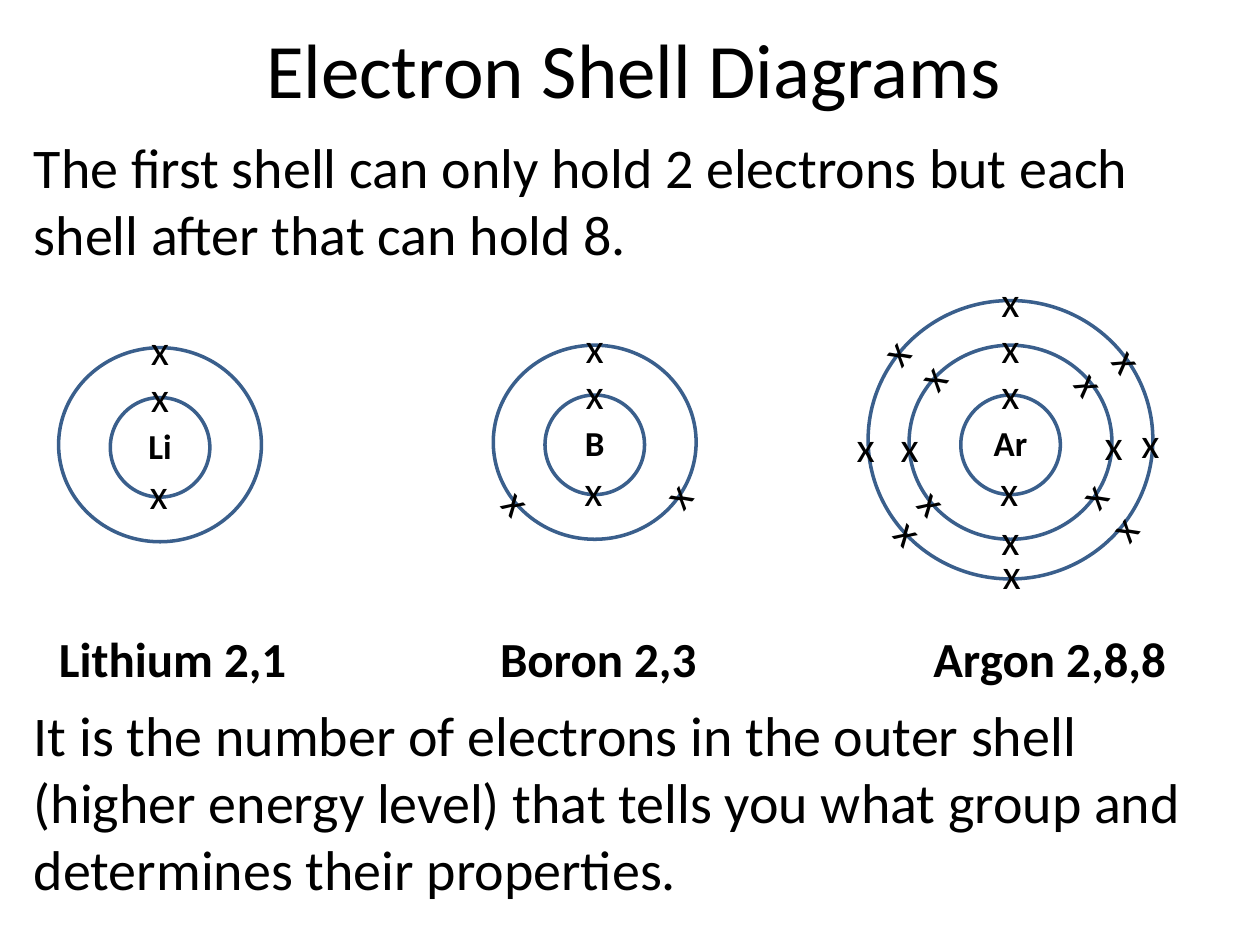
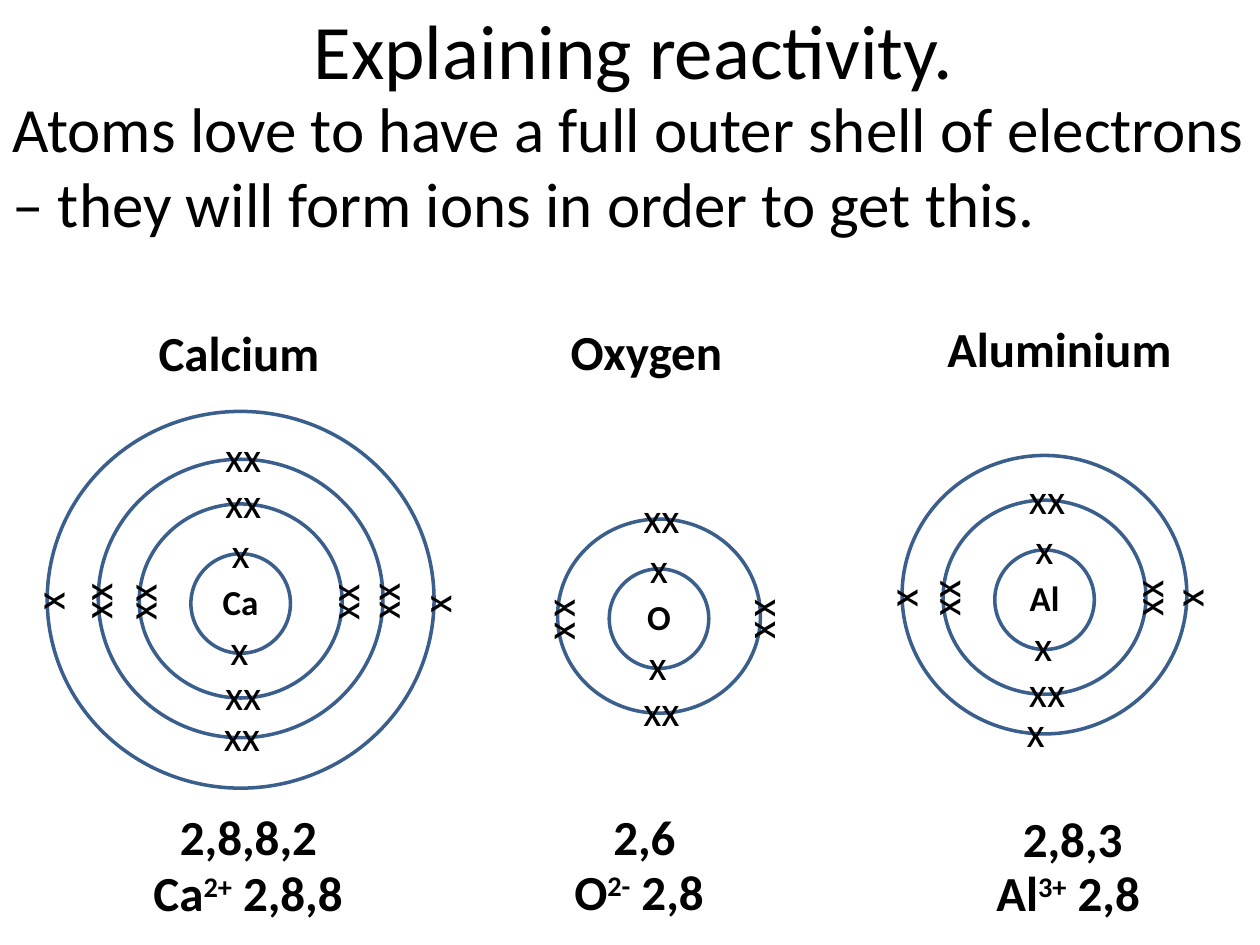
import pptx
import pptx.util
import pptx.dml.color
import pptx.enum.shapes
import pptx.enum.text

PX = 9144
FONT = "Calibri"
COLORS = {"text": "000000", "shell": "3A5F8C", "background": "FFFFFF"}
LEFT = pptx.enum.text.PP_ALIGN.LEFT
CENTER = pptx.enum.text.PP_ALIGN.CENTER

SHELLS = [(79, 79, 0), (161, 154, -2), (226, 221, -4), (307, 299, -3)]

ELECTRONS = {
    "1 top": ("x", 0, -41, 0),
    "1 bottom": ("x", -1, 36, 0),
    "2 top": ("x", 0, -78, 0),
    "2 top right": ("x", 64, -49, 54.4),
    "2 right": ("x", 82, -1, 0),
    "2 bottom right": ("x", 65, 40, 309.6),
    "2 bottom": ("x", 0, 75, 0),
    "2 bottom left": ("x", -61, 45, 47.1),
    "2 left": ("x", -80, 1, 0),
    "2 top left": ("x", -63, -54, 309.8),
    "3 top": ("x", 0, -114, 0),
    "3 top right": ("x", 94, -67, 54.4),
    "3 right": ("x", 111, -2, 0),
    "3 bottom right": ("x", 89, 66, 309.6),
    "3 bottom": ("x", 1, 102, 0),
    "3 bottom left": ("x", -80, 69, 47.1),
    "3 left": ("x", -115, 1, 0),
    "3 top left": ("x", -92, -74, 309.8),
    "2 top pair": ("xx", 2, -81, 0),
    "2 bottom pair": ("xx", 2, 72, 0),
    "2 right pair": ("xx", 81, -1, 270),
    "2 left pair": ("xx", -80, -1, 270),
    "2 right upper": ("x", 79, -8, 270),
    "2 right lower": ("x", 79, 9, 270),
    "2 left upper": ("x", -80, -8, 270),
    "2 left lower": ("x", -80, 10, 270),
    "3 top pair": ("xx", 2, -117, 0),
    "3 bottom pair": ("xx", 1, 104, 0),
    "3 right pair": ("xx", 113, -2, 270),
    "3 left pair": ("xx", -115, -2, 270),
    "3 right side": ("x", 113, -1, 270),
    "3 left side": ("x", -114, -1, 270),
    "3 bottom offset": ("x", -7, 104, 0),
    "4 right side": ("x", 154, 1, 270),
    "4 left side": ("x", -153, -2, 270),
}

FIRST_SHELL = ["1 top", "1 bottom"]
DIRECTIONS = ["top", "top right", "right", "bottom right",
              "bottom", "bottom left", "left", "top left"]
SIDES = ["top", "bottom", "right", "left"]


def full_shell(number):
    return [f"{number} {direction}" for direction in DIRECTIONS]


def paired_shell(number):
    return [f"{number} {side} pair" for side in SIDES]


def rgb(name):
    return pptx.dml.color.RGBColor.from_string(COLORS[name])


def emu(box):
    return [round(length * PX) for length in box]


def style_paragraph(paragraph, size, bold=False, align=LEFT):
    paragraph.alignment = align
    paragraph.font.name = FONT
    paragraph.font.size = pptx.util.Pt(size)
    paragraph.font.bold = bold
    paragraph.font.color.rgb = rgb("text")


def add_text(slide, box, text, size, bold=False, align=LEFT, wrap=False, rotation=0):
    shape = slide.shapes.add_textbox(*emu(box))
    shape.rotation = rotation
    shape.text_frame.word_wrap = wrap
    paragraph = shape.text_frame.paragraphs[0]
    paragraph.text = text
    style_paragraph(paragraph, size, bold, align)
    return paragraph


def add_title_slide(presentation, title, top):
    slide = presentation.slides.add_slide(presentation.slide_layouts[5])
    slide.background.fill.solid()
    slide.background.fill.fore_color.rgb = rgb("background")
    shape = slide.shapes.title
    shape.left, shape.top, shape.width, shape.height = emu((54, top, 898, 161))
    shape.text_frame.text = title
    shape.text_frame.vertical_anchor = pptx.enum.text.MSO_ANCHOR.MIDDLE
    style_paragraph(shape.text_frame.paragraphs[0], 44, align=CENTER)
    return slide


def add_atom(slide, center_x, center_y, symbol, shell_count, electrons):
    for width, height, shift in SHELLS[:shell_count]:
        box = (center_x - width / 2, center_y + shift - height / 2, width, height)
        shell = slide.shapes.add_shape(pptx.enum.shapes.MSO_SHAPE.OVAL, *emu(box))
        shell.shadow.inherit = False
        shell.fill.background()
        shell.line.color.rgb = rgb("shell")
        shell.line.width = pptx.util.Pt(2)
    for electron in electrons:
        mark, shift_x, shift_y, rotation = ELECTRONS[electron]
        width = 35 if mark == "x" else 49
        box = (center_x + shift_x - width / 2, center_y + shift_y - 25, width, 50)
        add_text(slide, box, mark, 24, align=CENTER, rotation=rotation)
    add_text(slide, (center_x - 25, center_y - 23, 50, 44), symbol, 20, True, CENTER)


def add_caption(slide, left, top, width, text):
    return add_text(slide, (left, top, width, 57), text, 28, True)


def add_ion(slide, left, top, width, symbol, charge, arrangement):
    paragraph = add_caption(slide, left, top, width, symbol)
    charge_run = paragraph.add_run()
    charge_run.text = charge
    charge_run.font._element.set("baseline", "30000")
    paragraph.add_run().text = " " + arrangement


def build_diagrams_slide(presentation):
    slide = add_title_slide(presentation, "Electron Shell Diagrams", -27)
    add_text(slide, (17, 100, 953, 118),
             "The first shell can only hold 2 electrons but each shell after that can hold 8.",
             32, wrap=True)
    add_text(slide, (17, 551, 953, 226),
             "It is the number of electrons in the outer shell (higher energy level) "
             "that tells you what group and determines their properties.", 32, wrap=True)
    add_atom(slide, 127, 355, "Li", 2, FIRST_SHELL + ["2 top"])
    add_atom(slide, 472, 353, "B", 2,
             FIRST_SHELL + ["2 top", "2 bottom right", "2 bottom left"])
    add_atom(slide, 802, 353, "Ar", 3, FIRST_SHELL + full_shell(2) + full_shell(3))
    for left, width, text in [(37, 203, "Lithium 2,1"), (387, 178, "Boron 2,3"),
                              (731, 207, "Argon 2,8,8")]:
        add_caption(slide, left, 494, width, text)


def build_reactivity_slide(presentation):
    slide = add_title_slide(presentation, "Explaining reactivity.", -42)
    add_text(slide, (0, 66, 1000, 131),
             "Atoms love to have a full outer shell of electrons – "
             "they will form ions in order to get this.", 36, wrap=True)
    add_atom(slide, 191, 479, "Ca", 4, FIRST_SHELL + paired_shell(2) + paired_shell(3)
             + ["4 right side", "4 left side"])
    add_atom(slide, 523, 491, "O", 2,
             FIRST_SHELL + ["2 top pair", "2 bottom pair", "2 right upper",
                            "2 right lower", "2 left upper", "2 left lower"])
    add_atom(slide, 829, 476, "Al", 3, FIRST_SHELL + paired_shell(2)
             + ["3 right side", "3 left side", "3 bottom offset"])
    for left, top, width, text in [
        (116, 251, 149, "Calcium"), (443, 250, 142, "Oxygen"), (742, 248, 200, "Aluminium"),
        (133, 635, 131, "2,8,8,2"), (477, 635, 70, "2,6"), (802, 637, 100, "2,8,3"),
    ]:
        add_caption(slide, left, top, width, text)
    add_ion(slide, 112, 680, 176, "Ca", "2+", "2,8,8")
    add_ion(slide, 446, 679, 127, "O", "2-", "2,8")
    add_ion(slide, 781, 680, 139, "Al", "3+", "2,8")


def main():
    presentation = pptx.Presentation()
    presentation.slide_width, presentation.slide_height = emu((1000, 750))
    build_diagrams_slide(presentation)
    build_reactivity_slide(presentation)
    presentation.save("out.pptx")


if __name__ == "__main__":
    main()
